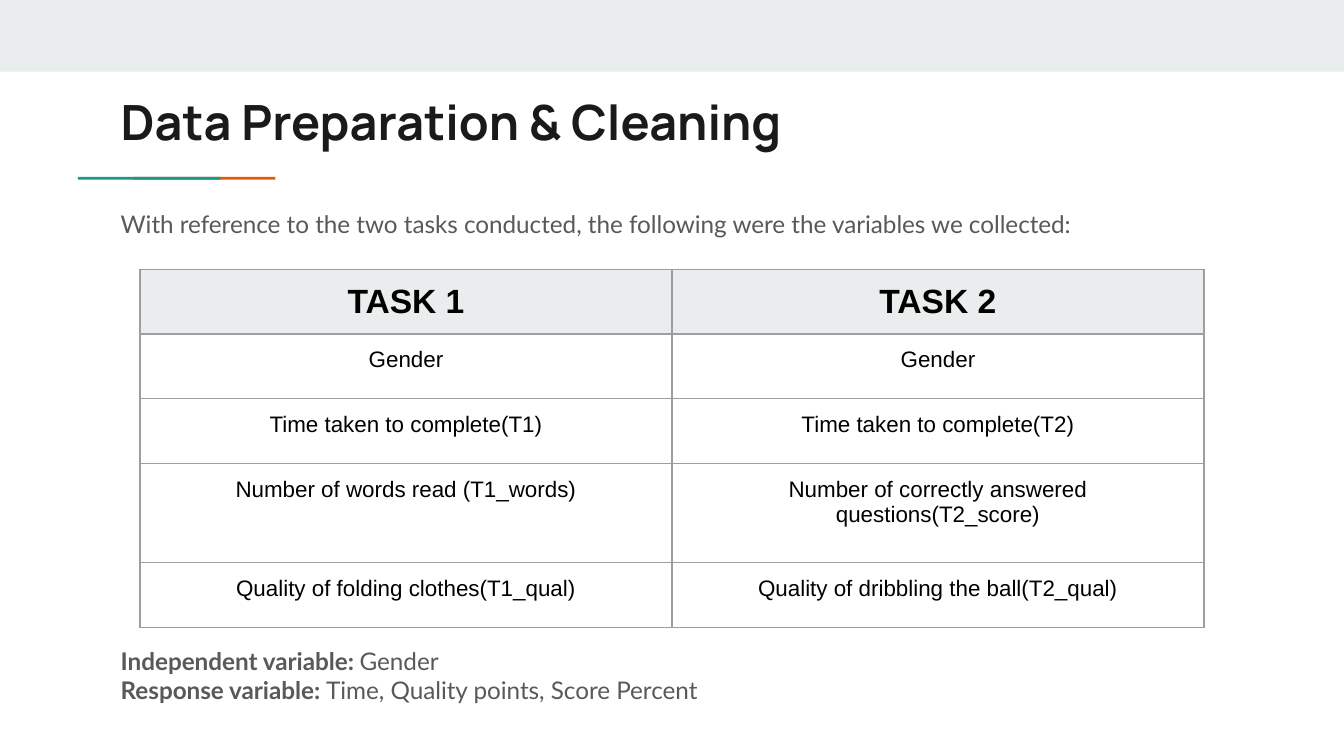
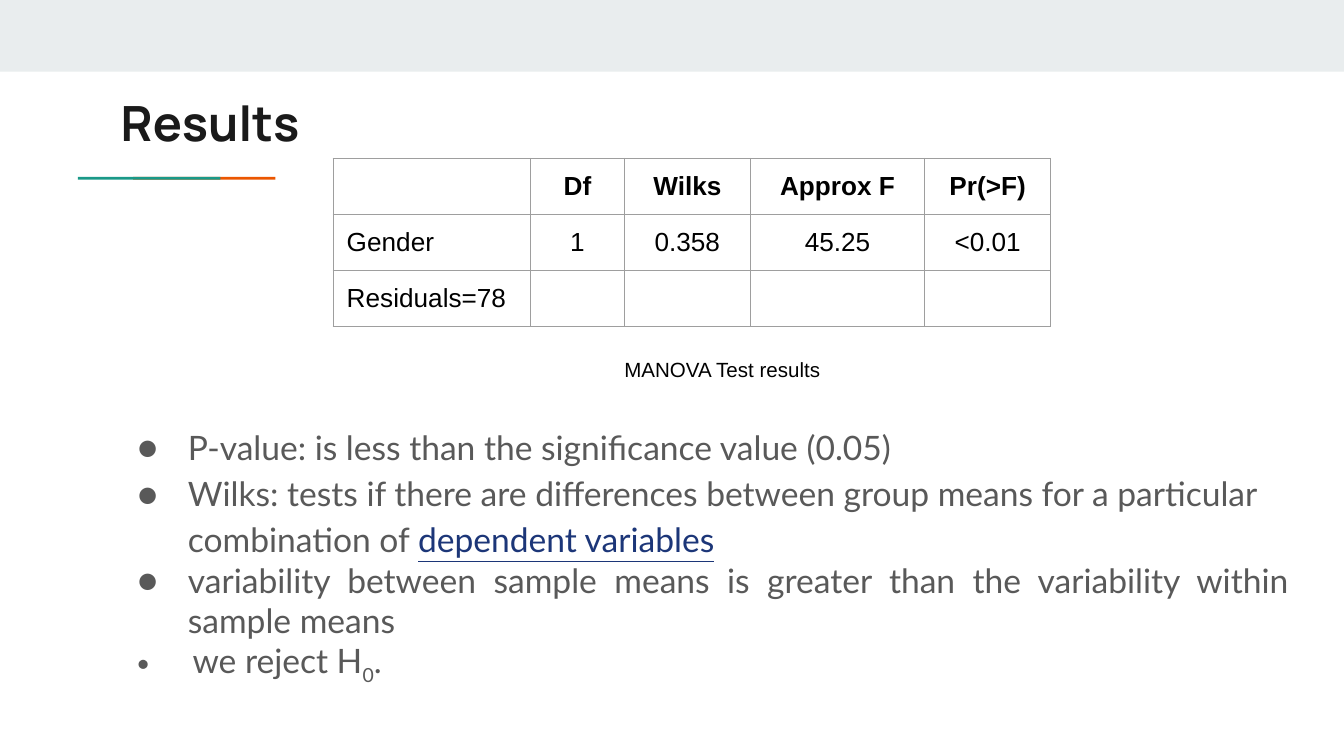
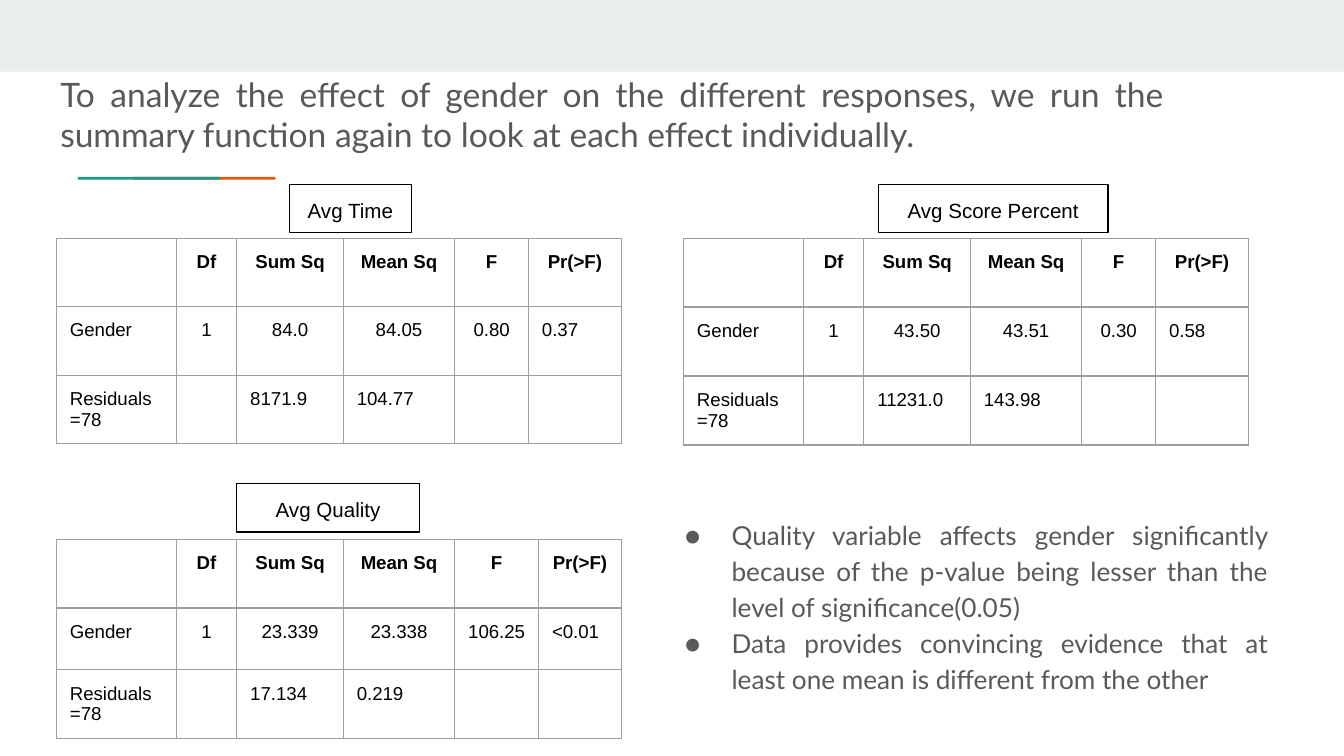
import pptx
import pptx.dml.color
import pptx.enum.shapes
import pptx.enum.text
import pptx.oxml.ns
import pptx.util
from lxml import etree

RGBColor = pptx.dml.color.RGBColor
Align = pptx.enum.text.PP_ALIGN

BAND = RGBColor(0xE9, 0xED, 0xEE)
TEAL = RGBColor(0x1A, 0x99, 0x88)
ORANGE = RGBColor(0xEB, 0x56, 0x00)
INK = RGBColor(0x1A, 0x1A, 0x1A)
GREY = RGBColor(0x59, 0x59, 0x59)
NAVY = RGBColor(0x1C, 0x36, 0x78)
BLACK = RGBColor(0, 0, 0)
BORDER = RGBColor(0x9E, 0x9E, 0x9E)

HEADING, BODY, PLAIN = "Manrope", "Lato", "Arial"
ALIGNMENTS = {"l": Align.LEFT, "c": Align.CENTER, "j": Align.JUSTIFY}

# The grid has 100 columns; rows have the same pitch
GRID_COLUMNS, GRID_ROWS = 100, 56.25
INSET = 1
CELL_BOTTOM_INSET = 0.75
ANOVA_HEADER = ["", "Df", "Sum Sq", "Mean Sq", "F", "Pr(>F)"]
ANOVA_ALIGNS = ["cccccc", "lccccl", "llllll"]


def grid(count):
    return pptx.util.Inches(count / 10)


def place(left, top, width, height):
    return [grid(count) for count in (left, top, width, height)]


def add_child(parent, tag, **attributes):
    return etree.SubElement(parent, pptx.oxml.ns.qn(tag), attributes)


def style_run(span, size, font, color, bold=False, underline=False, baseline=0):
    span.font.size = pptx.util.Pt(size)
    span.font.name = font
    span.font.color.rgb = color
    span.font.bold = bold
    span.font.underline = underline
    if baseline:
        span.font._element.set("baseline", str(baseline * 1000))


def prepare_frame(frame):
    frame.word_wrap = True
    frame.vertical_anchor = pptx.enum.text.MSO_ANCHOR.TOP
    frame.margin_left = frame.margin_right = grid(INSET)
    frame.margin_top = frame.margin_bottom = grid(INSET)


def add_bullet(para, hanging):
    properties = para._p.get_or_add_pPr()
    properties.set("marL", str(grid(5)))
    properties.set("indent", str(-grid(hanging)))
    color = add_child(properties, "a:buClr")
    add_child(color, "a:srgbClr", val=str(GREY))
    add_child(properties, "a:buFont", typeface=BODY)
    add_child(properties, "a:buChar", char="●")


def write_paragraph(para, spans, align="l", spacing=None, hanging=None, **style):
    """Write spans: each is a text, or a text with its own style."""
    para.alignment = ALIGNMENTS[align]
    if spacing:
        para.line_spacing = spacing
    if hanging:
        add_bullet(para, hanging)
    for item in spans:
        text, own_style = (item, {}) if isinstance(item, str) else item
        span = para.add_run()
        span.text = text
        style_run(span, **{**style, **own_style})


def add_text(slide, area, paragraphs, **style):
    """Add a text box; each paragraph is its spans and its own settings."""
    frame = slide.shapes.add_textbox(*place(*area)).text_frame
    prepare_frame(frame)
    for index, (spans, settings) in enumerate(paragraphs):
        para = frame.add_paragraph() if index else frame.paragraphs[0]
        write_paragraph(para, spans, **{**style, **settings})


def add_bar(slide, area, color):
    bar = slide.shapes.add_shape(pptx.enum.shapes.MSO_SHAPE.RECTANGLE, *place(*area))
    bar.shadow.inherit = False
    bar.fill.solid()
    bar.fill.fore_color.rgb = color
    bar.line.fill.background()


def add_label(slide, area, text):
    box = slide.shapes.add_shape(pptx.enum.shapes.MSO_SHAPE.RECTANGLE, *place(*area))
    box.shadow.inherit = False
    box.fill.background()
    box.line.color.rgb = BLACK
    box.line.width = pptx.util.Pt(0.75)
    prepare_frame(box.text_frame)
    write_paragraph(box.text_frame.paragraphs[0], [text], "c",
                    size=11, font=PLAIN, color=BLACK)


def add_borders(cell):
    properties = cell._tc.get_or_add_tcPr()
    for side in ("a:lnL", "a:lnR", "a:lnT", "a:lnB"):
        line = add_child(properties, side, w=str(pptx.util.Pt(0.75)))
        fill = add_child(line, "a:solidFill")
        add_child(fill, "a:srgbClr", val=str(BORDER))


def fill_cell(cell, text, align, size, bold, color):
    cell.margin_left = cell.margin_right = cell.margin_top = grid(INSET)
    cell.margin_bottom = grid(CELL_BOTTOM_INSET)
    add_borders(cell)
    if color:
        cell.fill.solid()
        cell.fill.fore_color.rgb = color
    else:
        cell.fill.background()
    cell.text_frame.text = text
    for para in cell.text_frame.paragraphs:
        para.alignment = ALIGNMENTS[align]
        for span in para.runs:
            style_run(span, size, PLAIN, BLACK, bold)
        if not para.runs:
            add_child(para._p, "a:endParaRPr", sz=str(size * 100))


def add_grid_table(slide, corner, widths, heights, rows, aligns, size,
                   header_size=None, header_color=None):
    area = place(*corner, sum(widths), sum(heights))
    table = slide.shapes.add_table(len(rows), len(widths), *area).table
    table.first_row = table.horz_banding = False
    for column, width in zip(table.columns, widths):
        column.width = grid(width)
    for index, (values, height) in enumerate(zip(rows, heights)):
        table.rows[index].height = grid(height)
        is_header = index == 0
        text_size = header_size if is_header and header_size else size
        for column, text in enumerate(values):
            fill_cell(table.cell(index, column), text, aligns[index][column],
                      text_size, is_header, header_color if is_header else None)


def add_anova(slide, label, label_area, corner, last_widths, heights, gender, residuals):
    """Add a small variance table under its framed label."""
    rows = [ANOVA_HEADER, ["Gender", "1", *gender],
            ["Residuals\n=78", "", *residuals, "", ""]]
    add_grid_table(slide, corner, [8.92, 4.5, 7.93, 8.28, *last_widths], heights,
                   rows, ANOVA_ALIGNS, size=10)
    add_label(slide, label_area, label)


def add_page(deck, title=None, title_top=5.85):
    """Add a blank slide with the top band, the accent line and the title."""
    slide = deck.slides.add_slide(deck.slide_layouts[6])
    add_bar(slide, (0, 0, GRID_COLUMNS, 5.33), BAND)
    # The teal bar overlaps the orange one
    for left, color in ((9.9, ORANGE), (5.8, TEAL)):
        add_bar(slide, (left, 13.17, 10.6, 0.2), color)
    if title:
        add_text(slide, (8, title_top, 84.1, 5.9), [([title], {})],
                 size=26, font=HEADING, color=INK, bold=True)
    return slide


def build_preparation(deck):
    slide = add_page(deck, "Data Preparation & Cleaning")
    style = dict(size=13, font=BODY, color=GREY, align="j")
    add_text(slide, (8, 14.6, 84.1, 4.2), [
        (["With reference to the two tasks conducted, the following were "
          "the variables we collected:"], {}),
    ], **style)
    rows = [
        ["TASK 1", "TASK 2"],
        ["Gender", "Gender"],
        ["Time taken to complete(T1)", "Time taken to complete(T2)"],
        ["Number of words read (T1_words)",
         "Number of correctly answered questions(T2_score)"],
        ["Quality of folding clothes(T1_qual)",
         "Quality of dribbling the ball(T2_qual)"],
    ]
    add_grid_table(slide, (10.42, 20.04), [39.58] * 2, [4.82, 4.82, 4.82, 7.38, 4.82],
                   rows, ["cc"] * len(rows), size=12, header_size=18, header_color=BAND)
    strong = dict(bold=True)
    add_text(slide, (8, 47.1, 84.1, 6.4), [
        ([("Independent variable: ", strong), "Gender"], {}),
        ([("Response variable: ", strong), "Time, Quality points, Score Percent"], {}),
    ], **style)


def build_results(deck):
    slide = add_page(deck, "Results", title_top=5.92)
    rows = [
        ["", "Df", "Wilks", "Approx F", "Pr(>F)"],
        ["Gender", "1", "0.358", "45.25", "<0.01"],
        ["Residuals=78", "", "", "", ""],
    ]
    add_grid_table(slide, (24.8, 11.8), [14.7, 6.95, 9.4, 12.95, 9.4], [4.17] * 3,
                   rows, ["ccccc", "lcccc", "lcccc"], size=14)
    add_text(slide, (8, 30.3, 88.9, 21.6), [
        (["P-value: is less than the significance value (0.05)"], dict(spacing=1.15)),
        (["Wilks: tests if there are differences between group means for "
          "a particular combination of ",
          ("dependent variables", dict(color=NAVY, underline=True))], dict(spacing=1.15)),
        (["variability between sample means is greater than the variability "
          "within sample means"], dict(align="j")),
        ([(" ", dict(size=10, font="Times New Roman", color=BLACK)),
          "we reject H", ("0", dict(baseline=-25)), "."], dict(align="j")),
    ], size=18, font=BODY, color=GREY, hanging=3.75)
    add_text(slide, (37.55, 25.65, 32.4, 3.7), [(["MANOVA Test results"], {})],
             size=11, font=PLAIN, color=BLACK, align="c")


def build_effects(deck):
    slide = add_page(deck)
    add_text(slide, (3.5, 4.5, 84.1, 7.3), [
        (["To analyze the effect of gender on the different responses, we run "
          "the summary function again to look at each effect individually. "], {}),
    ], size=18, font=BODY, color=GREY, align="j")
    add_anova(slide, "Avg Time", (21.52, 13.73, 9.1, 3.6), (4.2, 17.72),
              [5.5, 6.9], [5.1] * 3,
              ["84.0", "84.05", "0.80", "0.37"], ["8171.9", "104.77"])
    add_anova(slide, "Avg Quality", (17.62, 36, 13.6, 3.6), (4.2, 40.14),
              [6.25, 6.15], [5.1, 4.6, 5.1],
              ["23.339", "23.338", "106.25", "<0.01"], ["17.134", "0.219"])
    add_anova(slide, "Avg Score Percent", (65.35, 13.73, 17.1, 3.6), (50.86, 17.72),
              [5.5, 6.9], [5.13] * 3,
              ["43.50", "43.51", "0.30", "0.58"], ["11231.0", "143.98"])
    add_text(slide, (48.45, 37.3, 46.9, 17.6), [
        (["Quality variable affects gender significantly because of the p-value "
          "being lesser than the level of significance(0.05)"], {}),
        (["Data provides convincing evidence that at least one mean is "
          "different from the other"], {}),
    ], size=14, font=BODY, color=GREY, align="j", spacing=1.15, hanging=3.47)


def main():
    deck = pptx.Presentation()
    deck.slide_width = grid(GRID_COLUMNS)
    deck.slide_height = grid(GRID_ROWS)
    build_preparation(deck)
    build_results(deck)
    build_effects(deck)
    deck.save("out.pptx")


if __name__ == "__main__":
    main()
